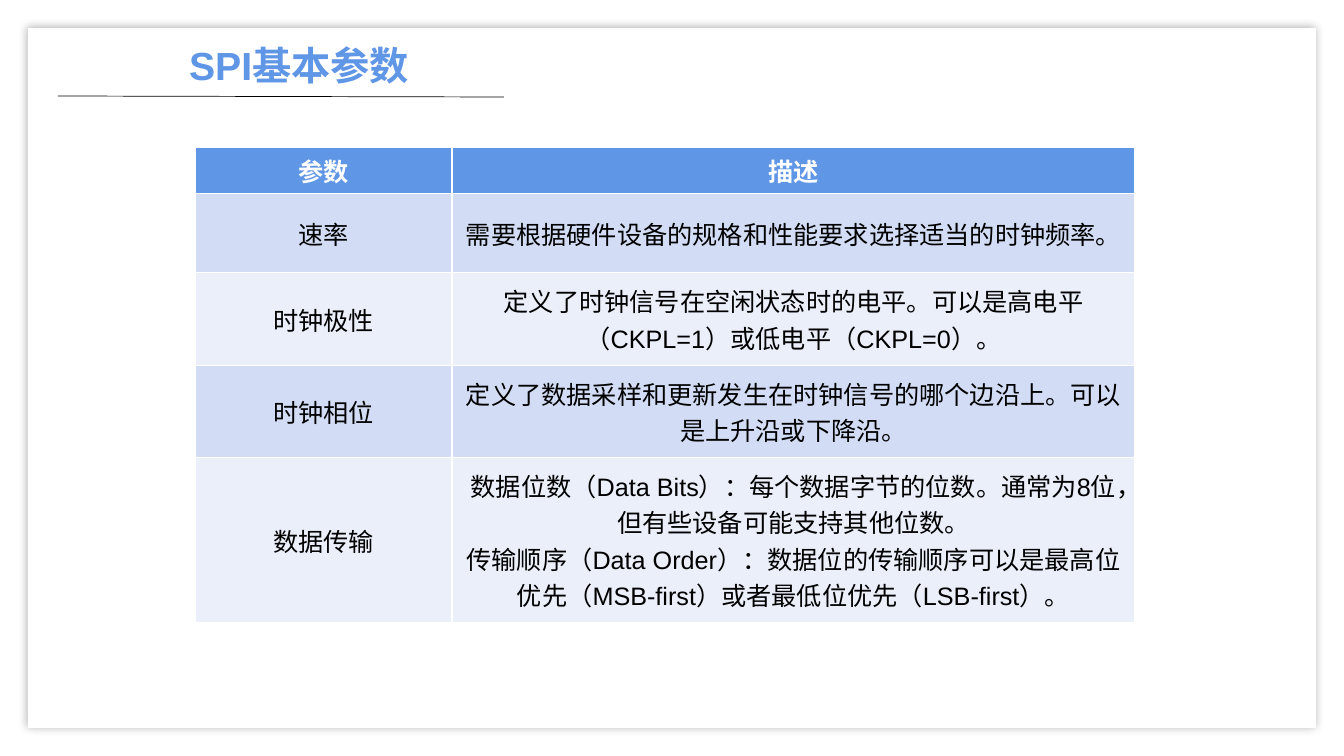
from lxml.etree import SubElement
from pptx import Presentation
from pptx.dml.color import RGBColor
from pptx.enum.shapes import MSO_CONNECTOR, MSO_SHAPE
from pptx.enum.text import MSO_ANCHOR, PP_ALIGN
from pptx.oxml import parse_xml
from pptx.oxml.ns import nsdecls, qn
from pptx.util import Emu, Pt

BLUE, WHITE, BLACK = "6096E6", "FFFFFF", "000000"
BANDS = ["D2DDF5", "EAEFFA"]


def px(length):
    return Emu(round(length * 914400 / 100.8))


def style(para, size, color, bold):
    para.alignment = PP_ALIGN.CENTER
    para.font.name = "Arial"
    para.font.size = Pt(size)
    para.font.bold = bold
    para.font.color.rgb = RGBColor.from_string(color)


deck = Presentation()
deck.slide_width, deck.slide_height = px(1344), px(756)
page = deck.slides.add_slide(deck.slide_layouts[5])
page.background.fill.solid()
page.background.fill.fore_color.rgb = RGBColor.from_string(WHITE)

# White panel with a soft shadow
panel = page.shapes.add_shape(MSO_SHAPE.RECTANGLE, px(28), px(28), px(1288), px(700))
panel.fill.solid()
panel.fill.fore_color.rgb = RGBColor.from_string(WHITE)
panel.line.fill.background()
panel.element.spPr.append(parse_xml(
    f'<a:effectLst {nsdecls("a")}><a:outerShdw blurRad="{Pt(6)}" dist="0" dir="0" algn="ctr">'
    '<a:srgbClr val="404040"><a:alpha val="41000"/></a:srgbClr></a:outerShdw></a:effectLst>'))

# Rule under the title
rule = page.shapes.add_connector(MSO_CONNECTOR.STRAIGHT, px(58), px(96), px(504), px(97))
rule.line.width = Pt(0.5)
rule.line.color.rgb = RGBColor.from_string(BLACK)
SubElement(rule.element.spPr, qn("a:effectLst"))

# Title, in front of the panel
title = page.shapes.title
title.left, title.top, title.width, title.height = px(123), px(36), px(352), px(58)
title.text_frame.text = "SPI基本参数"
title.text_frame.vertical_anchor = MSO_ANCHOR.MIDDLE
style(title.text_frame.paragraphs[0], 28, BLUE, True)
page.shapes.element.append(title.element)

# Parameter table
rows = [
    ("参数", "描述"),
    ("速率", "需要根据硬件设备的规格和性能要求选择适当的时钟频率。"),
    ("时钟极性", "定义了时钟信号在空闲状态时的电平。可以是高电平（CKPL=1）或低电平（CKPL=0）。"),
    ("时钟相位", "定义了数据采样和更新发生在时钟信号的哪个边沿上。可以是上升沿或下降沿。"),
    ("数据传输", "数据位数（Data Bits）：每个数据字节的位数。通常为8位，但有些设备可能支持其他位数。\n"
     "传输顺序（Data Order）：数据位的传输顺序可以是最高位优先（MSB-first）或者最低位优先（LSB-first）。"),
]
column_widths = [257, 683]
row_heights = [42, 79, 93, 92, 165]
table = page.shapes.add_table(len(rows), len(column_widths), px(195), px(147),
                              px(sum(column_widths)), px(sum(row_heights))).table
for column, width in zip(table.columns, column_widths):
    column.width = px(width)
for index, (texts, height) in enumerate(zip(rows, row_heights)):
    table.rows[index].height = px(height)
    header = index == 0
    for cell, text in zip(table.rows[index].cells, texts):
        cell.text = text
        cell.vertical_anchor = MSO_ANCHOR.TOP if header else MSO_ANCHOR.MIDDLE
        cell.fill.solid()
        cell.fill.fore_color.rgb = RGBColor.from_string(BLUE if header else BANDS[(index - 1) % 2])
        for para in cell.text_frame.paragraphs:
            style(para, 18, WHITE if header else BLACK, header)

deck.save("out.pptx")
